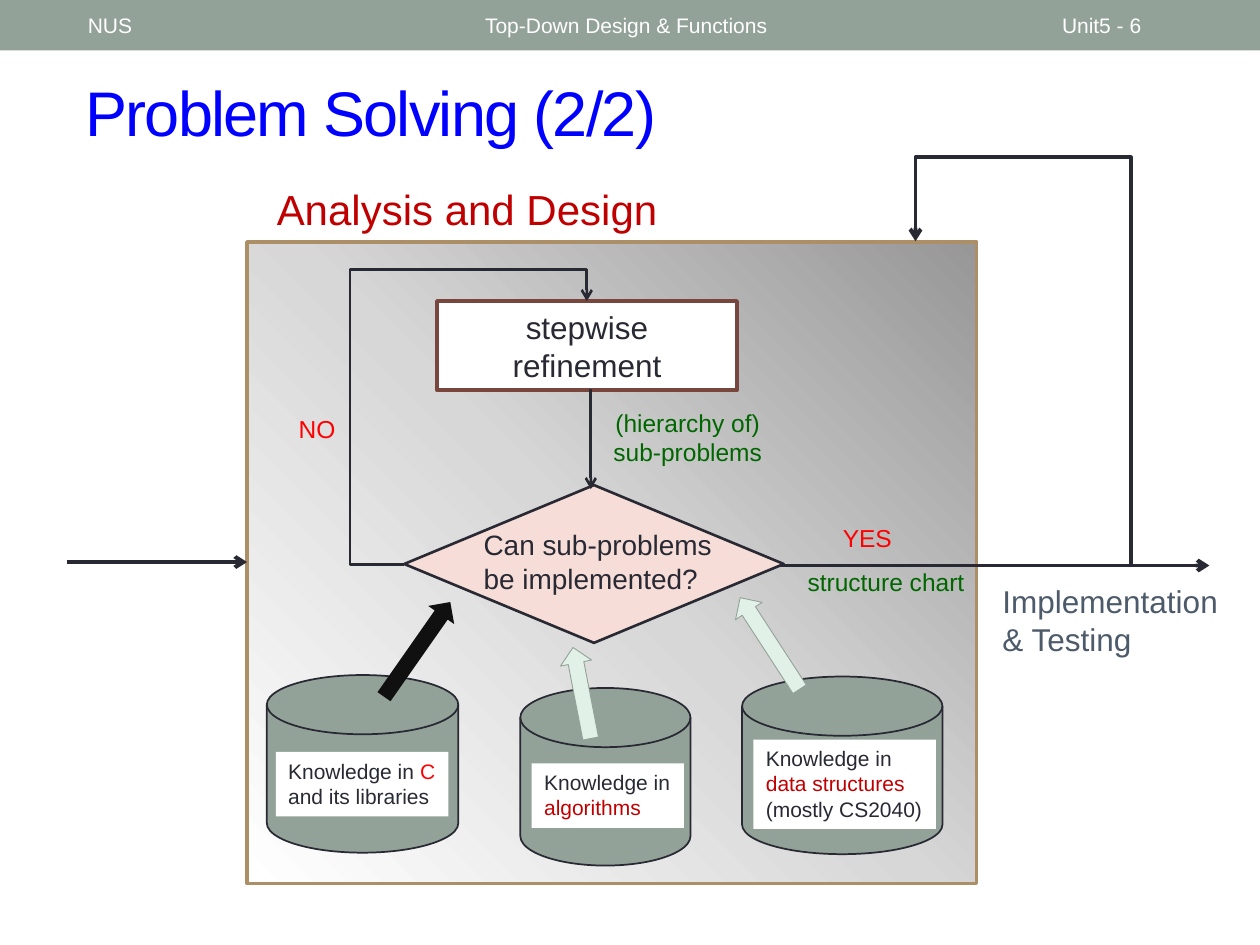
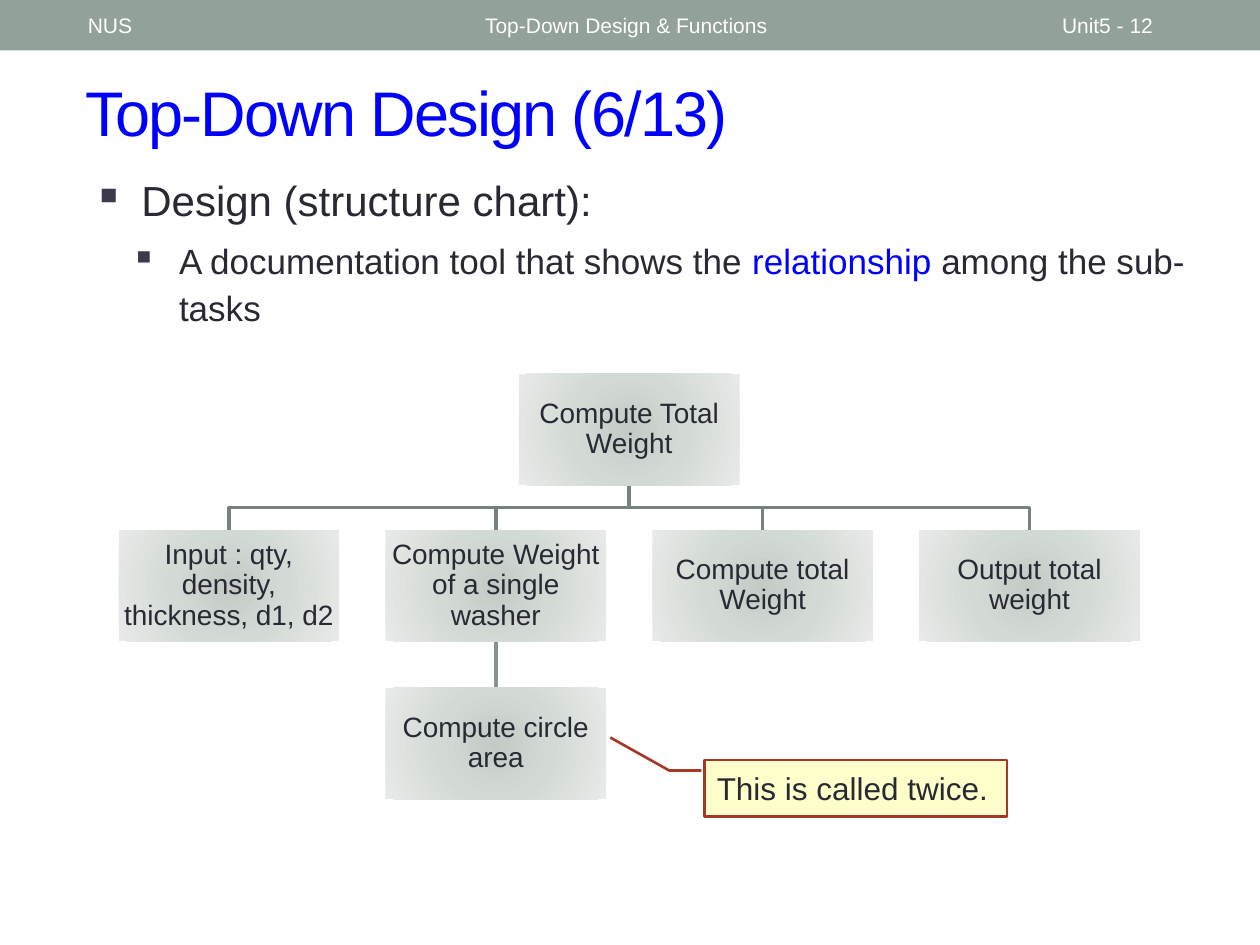
import pptx
import pptx.dml.color
import pptx.enum.shapes
import pptx.enum.text
import pptx.oxml
import pptx.oxml.ns
import pptx.util

Cm = pptx.util.Cm
Pt = pptx.util.Pt
KINDS = pptx.enum.shapes.MSO_SHAPE
LINES = pptx.enum.shapes.MSO_CONNECTOR
ALIGN = pptx.enum.text.PP_ALIGN
ANCHOR = pptx.enum.text.MSO_ANCHOR
qn = pptx.oxml.ns.qn

COLOURS = {
    "band": "93A299", "white": "FFFFFF", "title": "0000FF", "ink": "292934",
    "crimson": "C00000", "red": "FF0000", "green": "006600", "slate": "4C5A6A",
    "panel edge": "AD8F67", "step edge": "79463D", "decision": "F6DDD8",
    "black": "101010", "mint": "E2F1E8", "bullet": "3B3B4B",
    "branch": "76827B", "twig": "85938B", "note": "FFFFCC", "note edge": "A53926",
}
PANEL_GRADIENT = ([(0, "979797"), (50, "D7D7D7"), (100, "FFFFFF")], (100, 0, 0, 100))
NODE_GRADIENT = ([(0, "C4CAC6"), (45, "D3DAD6"), (100, "E7EAE8")], (100, 100, 100, 100))

BAND = (0, 0, 25.4, 1.02)
FOOTERS = [("NUS", 1.52, 8), ("Top-Down Design & Functions", 9.53, 11.43), ("Unit5 - {}", 21.16, 2.97)]

PANEL = (4.98, 4.88, 14.71, 12.93)
STEP = ((8.81, 6.07, 6.05, 1.8), ["stepwise", "refinement"])
DECISION = (8.15, 9.78, 7.65, 3.18)
STORES = [
    ((5.38, 13.61, 3.86, 3.58), (5.56, 15.16, 3.48, 1.3),
     [[("Knowledge in ", "ink"), ("C", "red")], "and its libraries"]),
    ((10.49, 13.87, 3.43, 3.58), (10.72, 15.39, 3.07, 1.3),
     ["Knowledge in", [("algorithms", "crimson")]]),
    ((14.96, 13.64, 4.04, 3.58), (15.19, 14.91, 3.68, 1.8),
     ["Knowledge in", [("data structures", "crimson")], "(mostly CS2040)"]),
]
BLOCK_ARROWS = [
    (8.41, 13.09, 2.33, 305, "black", None),
    (15.52, 12.97, 2.2, 237, "mint", "band"),
    (11.73, 13.97, 1.87, 259, "mint", "band"),
]
BLOCK_ARROW_BREADTH = 0.64
FLOWS = [
    ((1.35, 11.33, 4.98, 11.33), 2.25),
    ((11.91, 7.85, 11.91, 9.86), 1.5),
    ((15.72, 11.4, 24.38, 11.4), 2.25),
]
LOOPS = [
    ((8.15, 6.07, 3.68, 5.31), 1.5, "bentConnector4", {"rot": 180, "flipH": 1}, [-0.298, 1.12]),
    ((17.35, 5.97, 6.55, 4.34), 2.25, "bentConnector3", {"rot": 270, "flipV": 1}, [1.258]),
]
LABELS = [
    ((12.01, 8.1, 3.71, 1.45), ["(hierarchy of)", "sub-problems"], 14, "green", ALIGN.CENTER),
    ((9.5, 10.52, 5.33, 1.63), ["Can sub-problems", "be implemented?"], 16, "ink", ALIGN.LEFT),
    ((5.77, 8.23, 1.4, 0.86), ["NO"], 14, "red", ALIGN.LEFT),
    ((16.74, 10.41, 1.7, 0.86), ["YES"], 14, "red", ALIGN.LEFT),
    ((19.96, 11.61, 5, 1.8), ["Implementation", "& Testing"], 18, "slate", ALIGN.LEFT),
    ((16.03, 11.3, 3.94, 0.86), ["structure chart"], 14, "green", ALIGN.LEFT),
    ((5.33, 3.58, 9.25, 1.27), ["Analysis and Design"], 24, "crimson", ALIGN.LEFT),
]

BODY = (1.63, 3.3, 22.68, 3.89)
BULLETS = [
    ("Design (structure chart):", 24, 0, 0.97),
    ([("A documentation tool that shows the ", "ink"), ("relationship", "title"),
      (" among the sub-tasks", "ink")], 20, 1, 1.73),
]
ROOT = "Compute Total Weight"
TASKS = [
    "Input : qty, density, thickness, d1, d2", "Compute Weight of a single washer",
    "Compute total Weight", "Output total weight",
]
SUBTASK, SUBTASK_PARENT = "Compute circle area", 1
NODE_WIDTH, NODE_HEIGHT, NODE_PITCH, TREE_LEFT = 4.45, 2.24, 5.38, 2.39
ROW_TOPS = [7.54, 10.69, 13.87]
NOTE = (14.2, 15.32, 6.1, 1.14)
NOTE_LEADER = [0.188, -0.01, 0.188, -0.116, -0.397, -0.311]


def rgb(name):
    return pptx.dml.color.RGBColor.from_string(COLOURS[name])


def apply(target, values):
    for name, value in values.items():
        setattr(target, name, value)


def lengths(frame):
    return [Cm(value) for value in frame]


def write(box, lines, size, colour="ink", align=ALIGN.LEFT, anchor=ANCHOR.TOP, **spacing):
    frame = box.text_frame
    apply(frame, {"word_wrap": True, "vertical_anchor": anchor})
    for number, line in enumerate(lines):
        para = frame.paragraphs[0] if number == 0 else frame.add_paragraph()
        apply(para, {"alignment": align, **spacing})
        for text, tint in [(line, colour)] if isinstance(line, str) else line:
            span = para.add_run()
            span.text = text
            apply(span.font, {"name": "Arial", "size": Pt(size)})
            span.font.color.rgb = rgb(tint)
    return frame


def add_text(page, frame, *args, **formats):
    return write(page.shapes.add_textbox(*lengths(frame)), *args, **formats)


def outline(line, colour, weight):
    line.color.rgb = rgb(colour)
    line.width = Pt(weight)


def add_block(page, kind, frame, fill=None, edge=None, weight=1.0):
    block = page.shapes.add_shape(kind, *lengths(frame))
    block.shadow.inherit = False
    if fill:
        block.fill.solid()
        block.fill.fore_color.rgb = rgb(fill)
    if edge:
        outline(block.line, edge, weight)
    else:
        block.line.fill.background()
    return block


def radiate(block, gradient):
    stops, centre = gradient
    marks = "".join(f'<a:gs pos="{place * 1000}"><a:srgbClr val="{tint}"/></a:gs>' for place, tint in stops)
    sides = " ".join(f'{side}="{value * 1000}"' for side, value in zip("ltrb", centre))
    fill = pptx.oxml.parse_xml(
        f'<a:gradFill {pptx.oxml.ns.nsdecls("a")} rotWithShape="1"><a:gsLst>{marks}</a:gsLst>'
        f'<a:path path="circle"><a:fillToRect {sides}/></a:path></a:gradFill>')
    block._element.spPr.find(qn("a:prstGeom")).addnext(fill)


def add_line(page, kind, ends, colour, weight, arrow=True):
    line = page.shapes.add_connector(kind, *lengths(ends))
    outline(line.line, colour, weight)
    properties = line._element.spPr
    if arrow:
        head = properties.find(qn("a:ln")).makeelement(qn("a:tailEnd"), {"type": "arrow"})
        properties.find(qn("a:ln")).append(head)
    properties.append(properties.makeelement(qn("a:effectLst"), {}))
    return line


def add_loop(page, frame, weight, preset, turn, bends):
    left, top, width, height = frame
    loop = add_line(page, LINES.ELBOW, (left, top, left + width, top + height), "ink", weight)
    placing = loop._element.spPr.find(qn("a:xfrm"))
    for name, value in turn.items():
        placing.set(name, str(value * 60000 if name == "rot" else value))
    shape = loop._element.spPr.find(qn("a:prstGeom"))
    shape.set("prst", preset)
    guides = shape.find(qn("a:avLst"))
    for number, bend in enumerate(bends, 1):
        guide = {"name": f"adj{number}", "fmla": f"val {round(bend * 100000)}"}
        guides.append(guides.makeelement(qn("a:gd"), guide))


def add_page(deck, title, number):
    page = deck.slides.add_slide(deck.slide_layouts[6])
    add_block(page, KINDS.RECTANGLE, BAND, "band")
    heading = add_text(page, (1.47, 1.07, 23.29, 2.34), [title], 36, "title", anchor=ANCHOR.MIDDLE)
    heading.paragraphs[0].runs[0].font._element.set("spc", "-100")
    for text, left, width in FOOTERS:
        add_text(page, (left, 0.05, width, 0.91), [text.format(number)], 12, "white", anchor=ANCHOR.MIDDLE)
    return page


def build_problem_solving(deck):
    page = add_page(deck, "Problem Solving (2/2)", 6)
    radiate(add_block(page, KINDS.RECTANGLE, PANEL, edge="panel edge", weight=2.08), PANEL_GRADIENT)
    frame, lines = STEP
    step = add_block(page, KINDS.RECTANGLE, frame, "white", "step edge", 2.08)
    write(step, lines, 18, align=ALIGN.CENTER, anchor=ANCHOR.MIDDLE)
    add_block(page, KINDS.DIAMOND, DECISION, "decision", "ink", 1.5)
    for cylinder, label, lines in STORES:
        add_block(page, KINDS.FLOWCHART_MAGNETIC_DISK, cylinder, "band", "ink")
        write(add_block(page, KINDS.RECTANGLE, label, "white"), lines, 12)
    for x, y, length, angle, fill, edge in BLOCK_ARROWS:
        frame = (x - length / 2, y - BLOCK_ARROW_BREADTH / 2, length, BLOCK_ARROW_BREADTH)
        add_block(page, KINDS.RIGHT_ARROW, frame, fill, edge, 0.5).rotation = angle
    for ends, weight in FLOWS:
        add_line(page, LINES.STRAIGHT, ends, "ink", weight)
    for loop in LOOPS:
        add_loop(page, *loop)
    for label in LABELS:
        add_text(page, *label)


def add_node(page, column, row, text):
    frame = (TREE_LEFT + column * NODE_PITCH, ROW_TOPS[row], NODE_WIDTH, NODE_HEIGHT)
    node = add_block(page, KINDS.RECTANGLE, frame)
    radiate(node, NODE_GRADIENT)
    margins = {f"margin_{side}": Cm(0.03) for side in ("left", "top", "right", "bottom")}
    apply(node.text_frame, margins)
    write(node, [text], 16, align=ALIGN.CENTER, anchor=ANCHOR.MIDDLE, line_spacing=0.9)


def column_centre(column):
    return TREE_LEFT + column * NODE_PITCH + NODE_WIDTH / 2


def add_branch(page, root_column, column):
    start, end = ROW_TOPS[0] + NODE_HEIGHT, ROW_TOPS[1]
    middle = (start + end) / 2
    root_x, task_x = column_centre(root_column), column_centre(column)
    pen = page.shapes.build_freeform(Cm(root_x), Cm(start))
    turns = [(root_x, middle), (task_x, middle), (task_x, end)]
    pen.add_line_segments([lengths(point) for point in turns], close=False)
    branch = pen.convert_to_shape()
    branch.shadow.inherit = False
    branch.fill.background()
    outline(branch.line, "branch", 2.08)


def add_bullets(page):
    lines = [line for line, *rest in BULLETS]
    body = add_text(page, BODY, lines, 24, line_spacing=1.1)
    for para, (line, size, level, indent) in zip(body.paragraphs, BULLETS):
        apply(para, {"level": level, "space_before": Pt(6 if level else 0)})
        properties = para._p.get_or_add_pPr()
        properties.set("marL", str(Cm(indent)))
        properties.set("indent", str(Cm(-0.97)))
        tint = properties.makeelement(qn("a:buClr"), {})
        tint.append(tint.makeelement(qn("a:srgbClr"), {"val": COLOURS["bullet"]}))
        properties.append(tint)
        properties.append(properties.makeelement(qn("a:buChar"), {"char": "▪"}))
        for span in para.runs:
            span.font.size = Pt(size)


def build_top_down_design(deck):
    page = add_page(deck, "Top-Down Design (6/13)", 12)
    add_bullets(page)
    root_column = (len(TASKS) - 1) / 2
    for column in range(len(TASKS)):
        add_branch(page, root_column, column)
    x = column_centre(SUBTASK_PARENT)
    ends = (x, ROW_TOPS[1] + NODE_HEIGHT, x, ROW_TOPS[2])
    add_line(page, LINES.STRAIGHT, ends, "twig", 2.08, arrow=False)
    add_node(page, root_column, 0, ROOT)
    for column, task in enumerate(TASKS):
        add_node(page, column, 1, task)
    add_node(page, SUBTASK_PARENT, 2, SUBTASK)
    note = add_block(page, KINDS.LINE_CALLOUT_2, NOTE, "note", "note edge", 1.5)
    for number, value in enumerate(NOTE_LEADER):
        note.adjustments[number] = value
    write(note, ["This is called twice."], 18, anchor=ANCHOR.MIDDLE)


def main():
    deck = pptx.Presentation()
    apply(deck, {"slide_width": Cm(25.4), "slide_height": Cm(19.05)})
    build_problem_solving(deck)
    build_top_down_design(deck)
    deck.save("out.pptx")


if __name__ == "__main__":
    main()
